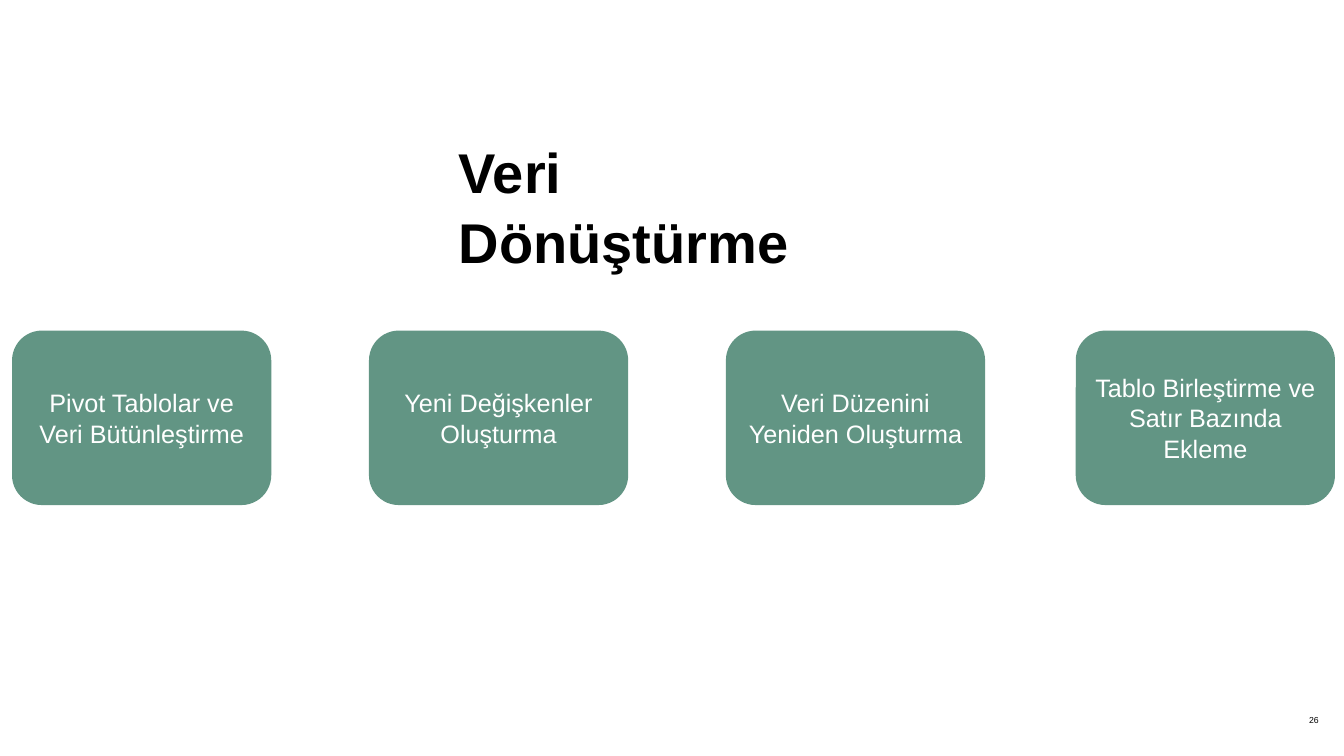
from dataclasses import dataclass

from pptx import Presentation
from pptx.dml.color import RGBColor
from pptx.enum.shapes import MSO_SHAPE
from pptx.enum.text import MSO_ANCHOR, MSO_AUTO_SIZE, PP_ALIGN
from pptx.util import Pt

PX = 9144  # EMU; 100 px to the inch
ROUNDED = MSO_SHAPE.ROUNDED_RECTANGLE
TOP, MIDDLE = MSO_ANCHOR.TOP, MSO_ANCHOR.MIDDLE
LEFT, CENTER, RIGHT = PP_ALIGN.LEFT, PP_ALIGN.CENTER, PP_ALIGN.RIGHT
GROW = MSO_AUTO_SIZE.SHAPE_TO_FIT_TEXT
TITLE_ONLY = 5


@dataclass(frozen=True)
class Theme:
    font: str = "Arial"
    ink: RGBColor = RGBColor(0, 0, 0)
    card: RGBColor = RGBColor(0x62, 0x95, 0x84)
    card_ink: RGBColor = RGBColor(255, 255, 255)
    title_size: float = 40
    card_size: float = 18
    number_size: float = 6.2


THEME = Theme()
TOPICS = [
    (13, "Pivot Tablolar ve Veri Bütünleştirme"),
    (367, "Yeni Değişkenler Oluşturma"),
    (721, "Veri Düzenini Yeniden Oluşturma"),
    (1068, "Tablo Birleştirme ve Satır Bazında Ekleme"),
]


def emu(box):
    return [length * PX for length in box]


def write(shape, text, size, color, align, anchor, insets, bold=False):
    """Fill the shape with one paragraph; insets are (horizontal, vertical) px."""
    frame = shape.text_frame
    frame.text = text
    frame.word_wrap = True
    frame.vertical_anchor = anchor
    frame.margin_left = frame.margin_right = insets[0] * PX
    frame.margin_top = frame.margin_bottom = insets[1] * PX
    para = frame.paragraphs[0]
    para.alignment = align
    font = para.runs[0].font
    font.name, font.size, font.bold = THEME.font, Pt(size), bold
    font.color.rgb = color


def add_title(slide, box, text):
    title = slide.shapes.title
    title.left, title.top, title.width, title.height = emu(box)
    write(title, text, THEME.title_size, THEME.ink, LEFT, TOP, (13, 13), bold=True)
    title.text_frame.auto_size = GROW
    title.text_frame.paragraphs[0].line_spacing = 1.04


def add_card(slide, box, text):
    card = slide.shapes.add_shape(ROUNDED, *emu(box))
    card.shadow.inherit = False
    card.fill.solid()
    card.fill.fore_color.rgb = THEME.card
    card.line.color.rgb = THEME.card
    card.line.width = Pt(1.5)
    write(card, text, THEME.card_size, THEME.card_ink, CENTER, MIDDLE, (10, 5))


def add_page_number(slide, box, text):
    number = slide.shapes.add_textbox(*emu(box))
    write(number, text, THEME.number_size, THEME.ink, RIGHT, MIDDLE, (13, 13))


def main():
    deck = Presentation()
    deck.slide_width, deck.slide_height = emu((1333, 750))
    slide = deck.slides.add_slide(deck.slide_layouts[TITLE_ONLY])
    add_page_number(slide, (1241, 686, 80, 57), "26")
    add_title(slide, (442, 121, 449, 94), "Veri Dönüştürme")
    for left, topic in TOPICS:
        add_card(slide, (left, 329, 255, 171), topic)
    deck.save("out.pptx")


if __name__ == "__main__":
    main()
